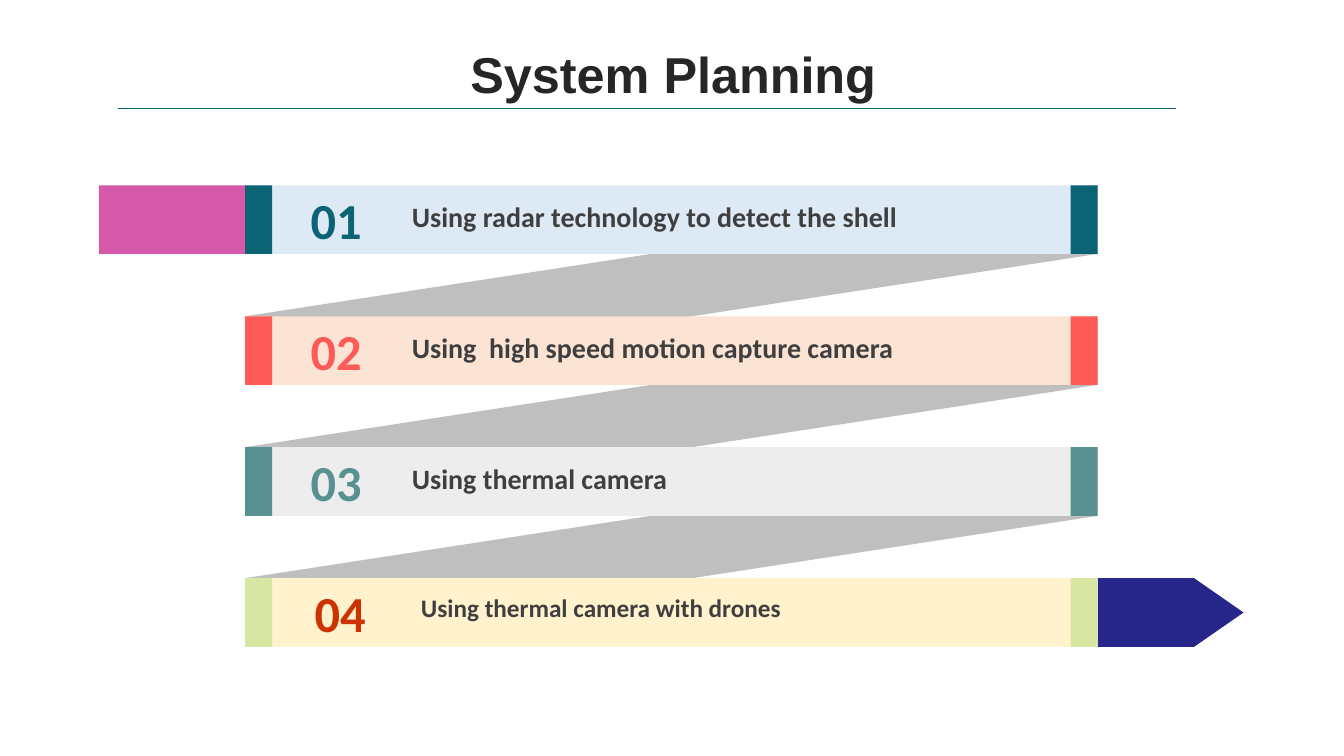
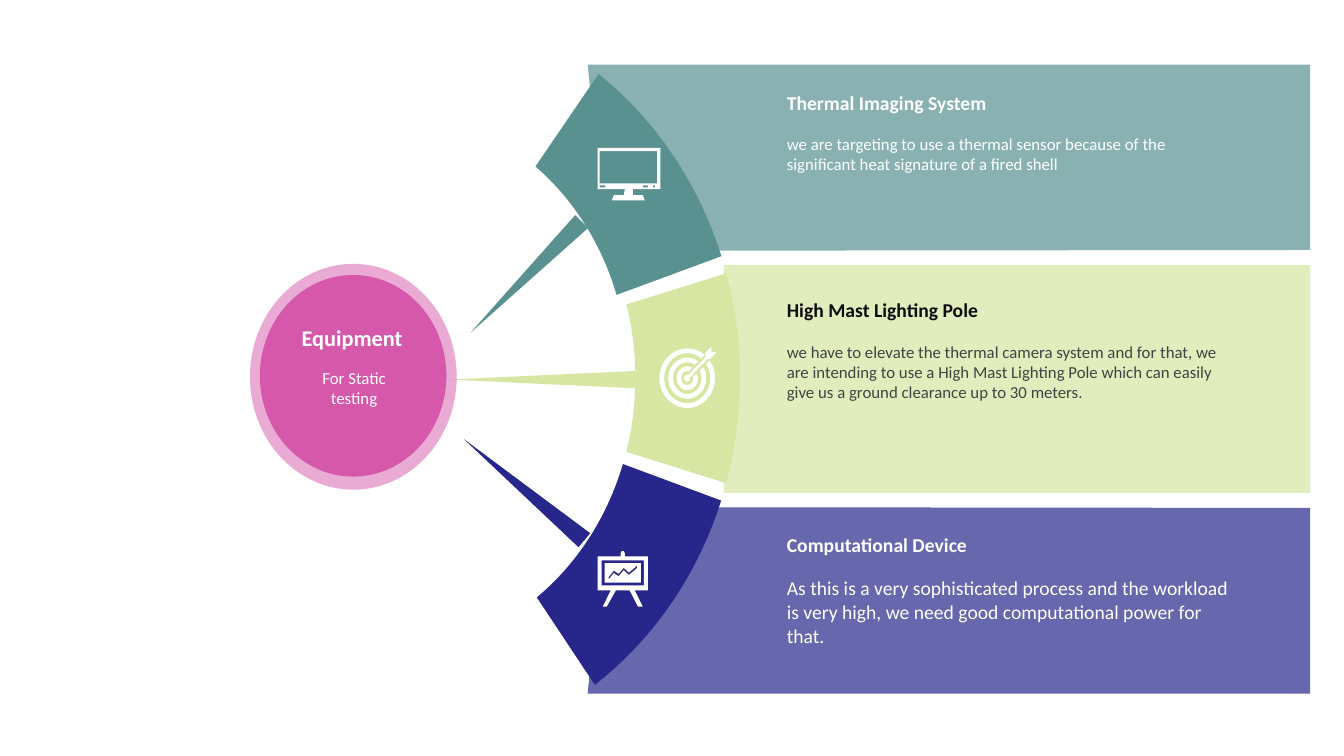
from lxml.etree import SubElement
from pptx import Presentation
from pptx.dml.color import RGBColor
from pptx.enum.shapes import MSO_CONNECTOR as Link, MSO_SHAPE as Kind
from pptx.enum.text import MSO_ANCHOR as Anchor, MSO_AUTO_SIZE as Auto, PP_ALIGN as Align
from pptx.oxml.ns import qn
from pptx.util import Cm, Pt

WHITE = RGBColor(0xFF, 0xFF, 0xFF)
BLACK = RGBColor(0x0C, 0x0C, 0x0C)
INK = RGBColor(0x26, 0x26, 0x26)
SLATE = RGBColor(0x3F, 0x3F, 0x3F)
ASH = RGBColor(0x42, 0x42, 0x42)
GREY = RGBColor(0xBF, 0xBF, 0xBF)
PINK = RGBColor(0xD5, 0x58, 0xAB)
NAVY = RGBColor(0x27, 0x27, 0x8B)
SAGE = RGBColor(0x59, 0x91, 0x91)
LIME = RGBColor(0xD7, 0xE6, 0xA3)
TEAL = RGBColor(0x0B, 0x63, 0x74)
CORAL = RGBColor(0xFD, 0x5B, 0x58)
RUST = RGBColor(0xCC, 0x33, 0x00)
RULE = RGBColor(0x08, 0x63, 0x74)
SKY = RGBColor(0xDD, 0xEA, 0xF6)
PEACH = RGBColor(0xFB, 0xE4, 0xD4)
PALE = RGBColor(0xED, 0xED, 0xED)
CREAM = RGBColor(0xFF, 0xF2, 0xCC)

# text, size, bar, tab, number colour, number shift, text shift
STEPS = [
    ("Using radar technology to detect the shell", 20, SKY, TEAL, TEAL, 0, 0),
    ("Using  high speed motion capture camera", 20, PEACH, CORAL, CORAL, 0, 0),
    ("Using thermal camera", 20, PALE, SAGE, SAGE, 0, 0),
    ("Using thermal camera with drones", 18, CREAM, LIME, RUST, 0.1, 0.23),
]

# heading, its colour, body, its colour, body size, top
PARTS = [
    ("Thermal Imaging System", WHITE,
     "we are targeting to use a thermal sensor because of the significant "
     "heat signature of a fired shell", WHITE, 12, 2.16),
    ("High Mast Lighting Pole", BLACK,
     "we have to elevate the thermal camera system and for that, we are "
     "intending to use a High Mast Lighting Pole which can easily give us a "
     "ground clearance up to 30 meters.", ASH, 12, 7.39),
    ("Computational Device", WHITE,
     "As this is a very sophisticated process and the workload is very high, "
     "we need good computational power for that.", WHITE, 14, 13.31),
]

PANELS = [
    (SAGE, [(14.81, 1.63), (33.02, 1.63), (33.02, 6.3), (15.29, 6.32)]),
    (NAVY, [(15.29, 12.78), (33.02, 12.8), (33.02, 17.48), (14.81, 17.48)]),
]
# colour, start, end, thickness
ARCS = [
    (SAGE, 182.58, 203.86, 0.16),
    (LIME, 205.59, 10.46, 0.15),
    (NAVY, 12.23, 33.86, 0.15),
]
# colour, left, top, length, turn
SPIKES = [
    (SAGE, 13.03, 5, 3.96, 225),
    (LIME, 13.56, 7.09, 4.95, 270),
    (NAVY, 12.98, 10.36, 3.96, 310),
]


def rect(x1, y1, x2, y2):
    return [(x1, y1), (x2, y1), (x2, y2), (x1, y2)]


def band(pts, half):
    """Outline of a zigzag line of the given half height."""
    return [(x, y - half) for x, y in pts] + [(x, y + half) for x, y in pts[::-1]]


# Nested outlines alternate between filled and empty.
SCREEN = [
    [(0, 0), (1.58, 0), (1.58, 1.04), (0.89, 1.04), (0.89, 1.19), (1.14, 1.19),
     (1.19, 1.32), (0.36, 1.32), (0.41, 1.19), (0.66, 1.19), (0.69, 1.04), (0, 1.04)],
    rect(0.05, 0.08, 1.5, 0.89),
    rect(0.05, 0.94, 0.2, 0.99),
    rect(1.14, 0.94, 1.27, 0.99),
    rect(1.4, 0.94, 1.45, 0.99),
]
BOARD = [
    [(0.58, 0.13), (0.58, 0.06), (0.61, 0), (0.66, 0), (0.69, 0.06), (0.69, 0.13),
     (1.27, 0.13), (1.27, 0.99), (0.94, 0.99), (1.14, 1.4), (1.02, 1.4), (0.81, 0.99),
     (0.46, 0.99), (0.23, 1.4), (0.13, 1.4), (0.33, 0.99), (0, 0.99), (0, 0.13)],
    rect(0.1, 0.23, 1.17, 0.86),
    rect(0.18, 0.3, 1.09, 0.79),
    band([(0.28, 0.68), (0.41, 0.52), (0.53, 0.6), (0.66, 0.45), (0.79, 0.57),
          (1, 0.39)], 0.03),
]
DART = [[(0.61, -0.79), (0.61, -0.66), (0.74, -0.66), (0.58, -0.48), (0.51, -0.48),
         (0.08, -0.03), (0.03, -0.08), (0.46, -0.53), (0.46, -0.64)]]
RINGS = [(0.7, 0.75), (0.48, 0.52), (0.27, 0.3)]


def paint(shape, color, alpha=None):
    shape.shadow.inherit = False
    shape.fill.solid()
    shape.fill.fore_color.rgb = color
    shape.line.fill.background()
    if alpha:
        tint = shape._element.spPr.find(qn("a:solidFill"))[0]
        SubElement(tint, qn("a:alpha")).set("val", str(alpha * 1000))
    return shape


def block(slide, kind, x, y, w, h, color, alpha=None):
    shape = slide.shapes.add_shape(kind, Cm(x), Cm(y), Cm(w), Cm(h))
    return paint(shape, color, alpha)


def outline(slide, loops, color, x=0, y=0, alpha=None):
    """Draw closed loops as one shape, offset by x and y."""
    form = None
    for loop in loops:
        pts = [(Cm(x + a), Cm(y + b)) for a, b in loop]
        if form is None:
            form = slide.shapes.build_freeform(*pts[0])
        else:
            form.move_to(*pts[0])
        form.add_line_segments(pts[1:], close=True)
    return paint(form.convert_to_shape(), color, alpha)


def line(slide, x1, y1, x2, y2, color, width):
    link = slide.shapes.add_connector(Link.STRAIGHT, Cm(x1), Cm(y1), Cm(x2), Cm(y2))
    link.line.color.rgb = color
    link.line.width = Pt(width)
    SubElement(link._element.spPr, qn("a:effectLst"))


def write(box, text, size, color, bold=False, align=Align.LEFT, face="Calibri",
          anchor=Anchor.TOP):
    frame = box.text_frame
    frame.text = text
    frame.word_wrap = True
    frame.auto_size = Auto.NONE
    frame.vertical_anchor = anchor
    for para in frame.paragraphs:
        para.alignment = align
        font = para.font
        font.name, font.size, font.bold = face, Pt(size), bold
        font.color.rgb = color


def label(slide, x, y, w, h, *args, **style):
    write(slide.shapes.add_textbox(Cm(x), Cm(y), Cm(w), Cm(h)), *args, **style)


def head(slide, x, y, w, h, *args, **style):
    """Place the title in front of what is drawn so far."""
    title = slide.shapes.title
    title.left, title.top, title.width, title.height = Cm(x), Cm(y), Cm(w), Cm(h)
    write(title, *args, bold=True, align=Align.CENTER, **style)
    slide.shapes._spTree.append(title._element)


def plan(slide):
    left, right, top, high, step, tab = 6.18, 27.66, 4.67, 1.73, 3.3, 0.68
    tops = [top + i * step for i in range(len(STEPS))]
    head(slide, 0.89, 0.94, 32.16, 2, "System Planning", 36, INK, face="Arial",
         anchor=Anchor.MIDDLE)
    slide.shapes.title.text_frame.paragraphs[0].line_spacing = 0.9
    line(slide, 2.97, 2.74, 29.64, 2.74, RULE, 0.75)
    for up, low in zip(tops, tops[1:]):
        fold = [(left, low), (right, up), (right, up + high), (left, low + high)]
        outline(slide, [fold], GREY)
    block(slide, Kind.RECTANGLE, 2.49, top, left - 2.49, high, PINK)
    tip = block(slide, Kind.PENTAGON, right, tops[-1], 3.68, high, NAVY)
    tip.adjustments[0] = 0.72
    for i, (text, size, fill, edge, ink, nudge, shift) in enumerate(STEPS):
        y = tops[i]
        block(slide, Kind.RECTANGLE, left, y, right - left, high, fill)
        for x in (left, right - tab):
            block(slide, Kind.RECTANGLE, x, y, tab, high, edge)
        label(slide, 7.48 + nudge, y - 0.03, 1.98, 1.8, f"{i + 1:02}", 36, ink,
              bold=True, align=Align.CENTER)
        label(slide, 10.13 + shift, y + 0.23, 15.37, 1.12, text, size, SLATE, bold=True)


def target(slide, x, y):
    for rx, ry in RINGS:
        ring = block(slide, Kind.DONUT, x - rx, y - ry, 2 * rx, 2 * ry, WHITE)
        ring.adjustments[0] = 0.12 / (2 * rx)
    block(slide, Kind.OVAL, x - 0.08, y - 0.09, 0.16, 0.18, WHITE)
    line(slide, x + 0.1, y - 0.11, x + 0.55, y - 0.57, LIME, 5)
    outline(slide, DART, WHITE, x, y)


def gear(slide):
    for color, pts in PANELS:
        outline(slide, [pts], color, alpha=70)
    for color, *bend in ARCS:
        arc = block(slide, Kind.BLOCK_ARC, 1.07, 0, 17.58, 19.05, color)
        for i, value in enumerate(bend):
            arc.adjustments[i] = value
    for color, x, y, size, turn in SPIKES:
        spike = block(slide, Kind.ISOSCELES_TRIANGLE, x, y, 0.46, size, color)
        spike.rotation = turn
    block(slide, Kind.RECTANGLE, 18.24, 6.68, 14.78, 5.74, LIME, 70)
    block(slide, Kind.OVAL, 6.3, 6.65, 5.21, 5.69, PINK, 50)
    block(slide, Kind.OVAL, 6.55, 6.93, 4.7, 5.08, PINK)
    head(slide, 6.6, 8.05, 4.55, 1.32, "Equipment", 16, WHITE)
    label(slide, 6.65, 9.14, 4.55, 1.8, "For Static\ntesting", 12, WHITE,
          align=Align.CENTER)
    outline(slide, SCREEN, WHITE, 15.06, 3.73)
    target(slide, 17.32, 9.53)
    outline(slide, BOARD, WHITE, 15.06, 13.89)
    for name, ink, text, tone, size, y in PARTS:
        label(slide, 19.58, y, 11.76, 1.22, name, 14, ink, bold=True)
        label(slide, 19.58, y + 1.09, 11.76, 2.9, text, size, tone)


def main():
    deck = Presentation()
    deck.slide_width, deck.slide_height = Cm(33.87), Cm(19.05)
    for draw in (plan, gear):
        draw(deck.slides.add_slide(deck.slide_layouts[5]))
    deck.save("out.pptx")


if __name__ == "__main__":
    main()
